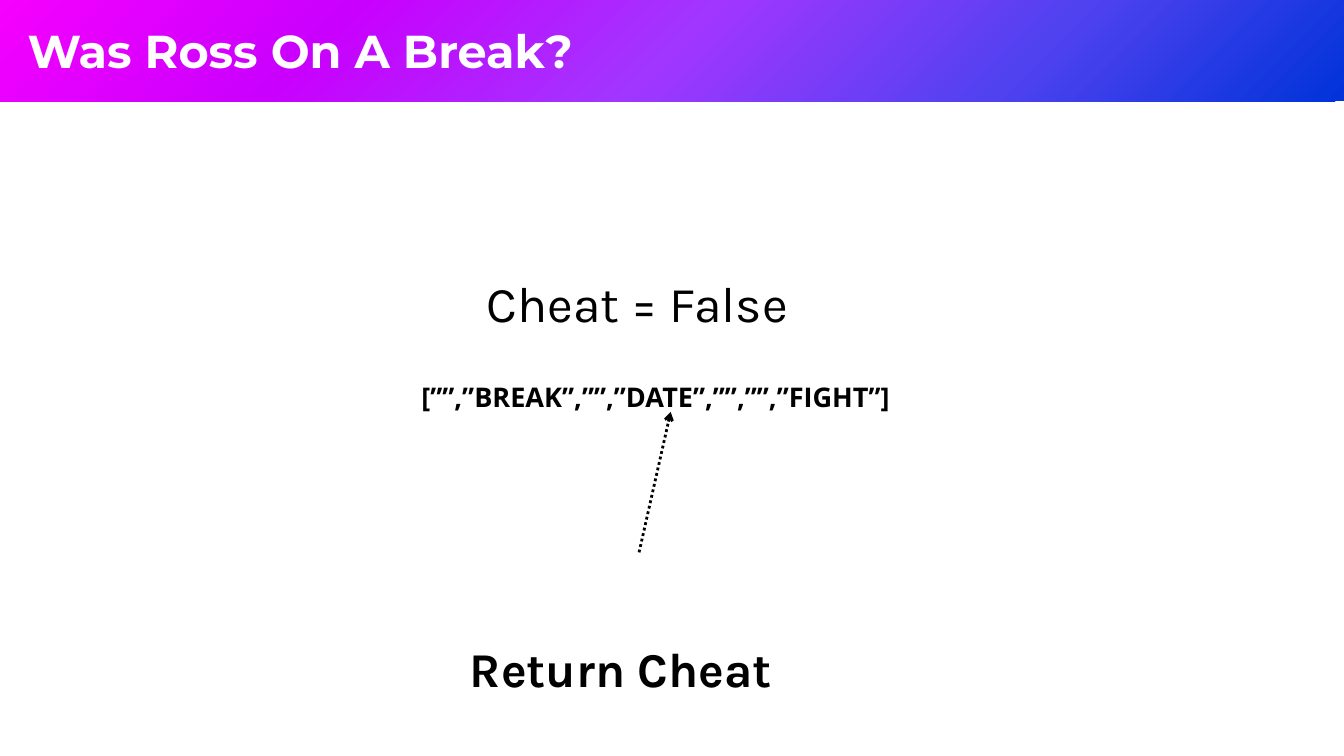
"""Build the slide that traces the break-checking example."""
import pptx
import pptx.dml.color
import pptx.enum.dml
import pptx.enum.shapes
import pptx.enum.text
import pptx.oxml
import pptx.oxml.ns
import pptx.util
from lxml import etree

Inches = pptx.util.Inches
Pt = pptx.util.Pt
Align = pptx.enum.text.PP_ALIGN

THEME = {
    "white": "FFFFFF",
    "ink": "000000",
    "banner": ["F600FE", "C900FE", "A136FF", "5142F0", "0033D9"],
    "title": {"font": "Montserrat", "size": 49.4, "leading": 69.2, "bold": True},
    "state": {"font": "Karla", "size": 53.6, "leading": 75, "bold": False},
    "list": {"font": "Open Sans", "size": 29, "leading": 40.6, "bold": True},
    "result": {"font": "Karla", "size": 52, "leading": 72.8, "bold": True},
    "arrow_width": 3,
}
SLIDE_SIZE = (20, 11.25)
BANNER_HEIGHT = 1.51
TEXTS = [
    ("Was Ross On A Break?", "title", "white", Align.LEFT, (0.41, 0.2, 22.9, 0.93)),
    ("Cheat = False", "state", "ink", Align.CENTER, (7.11, 3.9, 4.75, 1)),
    ("[””,”BREAK”,””,”DATE”,””,””,”FIGHT”]", "list", "ink", Align.CENTER,
     (6.06, 5.58, 7.4, 0.54)),
    ("Return Cheat", "result", "ink", Align.CENTER, (6.9, 9.36, 4.68, 0.97)),
]
POINTER = (9.51, 8.22, 9.98, 6.13)


def color(name):
    return pptx.dml.color.RGBColor.from_string(THEME[name])


def add_banner(page):
    banner = page.shapes.add_shape(
        pptx.enum.shapes.MSO_SHAPE.RECTANGLE, 0, 0,
        Inches(SLIDE_SIZE[0]), Inches(BANNER_HEIGHT))
    banner.shadow.inherit = False
    banner.line.fill.background()
    banner.fill.background()
    step = 100000 // (len(THEME["banner"]) - 1)
    stops = "".join(
        f'<a:gs pos="{index * step}"><a:srgbClr val="{shade}"/></a:gs>'
        for index, shade in enumerate(THEME["banner"]))
    gradient = pptx.oxml.parse_xml(
        f'<a:gradFill {pptx.oxml.ns.nsdecls("a")}><a:gsLst>{stops}</a:gsLst>'
        '<a:path path="circle"><a:fillToRect r="100000" b="100000"/></a:path></a:gradFill>')
    properties = banner._element.spPr
    properties.replace(properties.find(pptx.oxml.ns.qn("a:noFill")), gradient)


def add_text(page, text, style_name, color_name, alignment, place):
    style = THEME[style_name]
    box = page.shapes.add_textbox(*map(Inches, place))
    frame = box.text_frame
    frame.word_wrap = True
    frame.margin_left = frame.margin_top = frame.margin_right = frame.margin_bottom = 0
    frame.auto_size = pptx.enum.text.MSO_AUTO_SIZE.SHAPE_TO_FIT_TEXT
    frame.text = text
    para = frame.paragraphs[0]
    para.alignment = alignment
    para.line_spacing = Pt(style["leading"])
    font = para.runs[0].font
    font.name = style["font"]
    font.size = Pt(style["size"])
    font.bold = style["bold"]
    font.color.rgb = color(color_name)


def add_pointer(page):
    pointer = page.shapes.add_connector(
        pptx.enum.shapes.MSO_CONNECTOR.STRAIGHT, *map(Inches, POINTER))
    pointer.line.color.rgb = color("ink")
    pointer.line.width = Pt(THEME["arrow_width"])
    pointer.line.dash_style = pptx.enum.dml.MSO_LINE.ROUND_DOT
    qn = pptx.oxml.ns.qn
    properties = pointer._element.spPr
    etree.SubElement(properties.find(qn("a:ln")), qn("a:tailEnd"), type="arrow")
    etree.SubElement(properties, qn("a:effectLst"))


def main():
    deck = pptx.Presentation()
    deck.slide_width, deck.slide_height = map(Inches, SLIDE_SIZE)
    page = deck.slides.add_slide(deck.slide_layouts[6])
    page.background.fill.solid()
    page.background.fill.fore_color.rgb = color("white")
    add_banner(page)
    for entry in TEXTS:
        add_text(page, *entry)
    add_pointer(page)
    deck.save("out.pptx")


if __name__ == "__main__":
    main()
